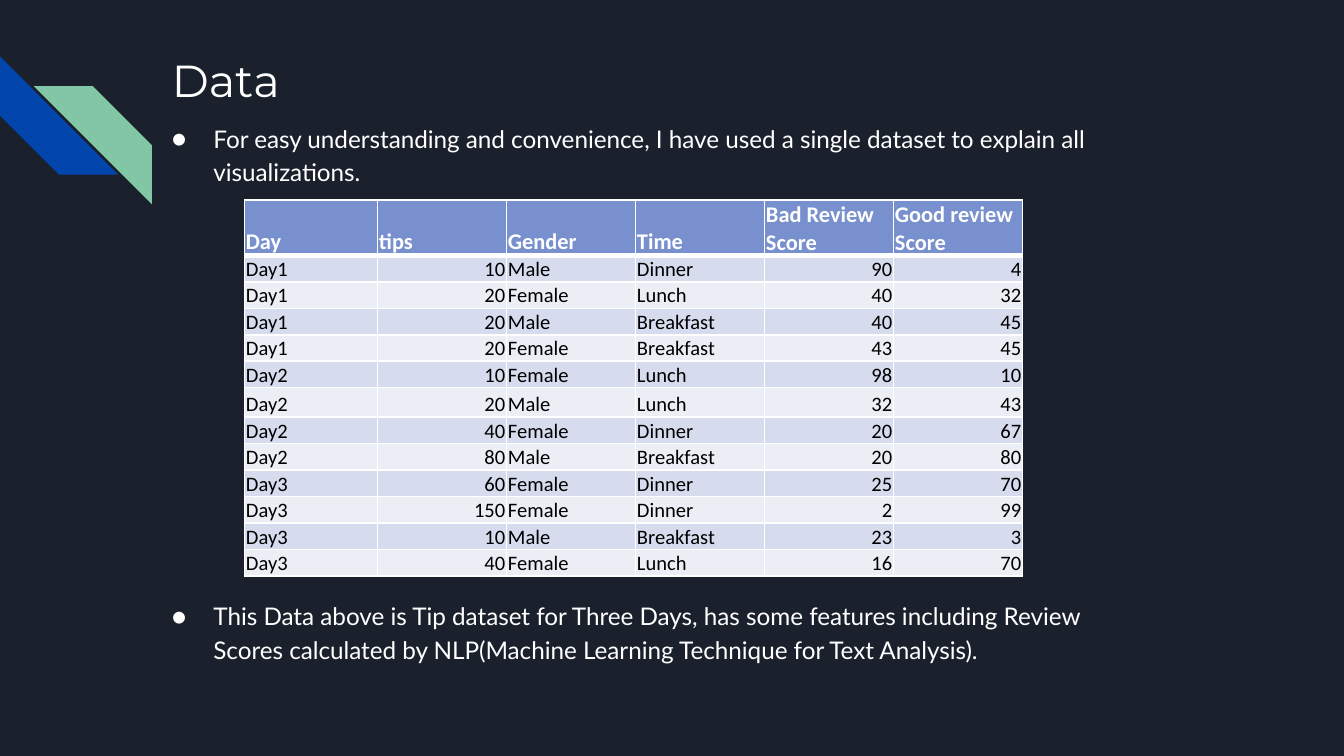
from lxml.etree import SubElement
from pptx import Presentation
from pptx.dml.color import RGBColor
from pptx.enum.shapes import MSO_SHAPE
from pptx.enum.text import MSO_ANCHOR, PP_ALIGN
from pptx.oxml.ns import qn
from pptx.util import Inches, Pt

# Content
TITLE = "Data"
BULLETS = [
    "For easy understanding and convenience, I have used a single dataset to explain all visualizations.",
    "This Data above is Tip dataset for Three Days, has some features including Review Scores "
    "calculated by NLP(Machine Learning Technique for Text Analysis).",
]
HEADERS = ["Day", "tips", "Gender", "Time", "Bad Review Score", "Good review Score"]
RECORDS = [
    ("Day1", 10, "Male", "Dinner", 90, 4),
    ("Day1", 20, "Female", "Lunch", 40, 32),
    ("Day1", 20, "Male", "Breakfast", 40, 45),
    ("Day1", 20, "Female", "Breakfast", 43, 45),
    ("Day2", 10, "Female", "Lunch", 98, 10),
    ("Day2", 20, "Male", "Lunch", 32, 43),
    ("Day2", 40, "Female", "Dinner", 20, 67),
    ("Day2", 80, "Male", "Breakfast", 20, 80),
    ("Day3", 60, "Female", "Dinner", 25, 70),
    ("Day3", 150, "Female", "Dinner", 2, 99),
    ("Day3", 10, "Male", "Breakfast", 23, 3),
    ("Day3", 40, "Female", "Lunch", 16, 70),
]
# Stripes: left, top, fill name, rotation, mirrored
STRIPES = [(0, 0.42, "blue", 270, False), (0.25, 0.64, "green", 0, True)]

THEME = {
    "background": "1B212C", "blue": "0145AC", "green": "82C7A5",
    "light": "FFFFFF", "dark": "000000",
    "header": "7890CD", "bands": ("D6DBED", "ECEEF6"),
    "title_font": ("Montserrat", 24), "body_font": ("Lato", 13),
    "header_font": ("Calibri", 12), "cell_font": ("Calibri", 11),
}
STRIPE_SIZE = 0.88
HEADER_HEIGHT, ROW_HEIGHT, TALL_ROW_HEIGHT = Inches(0.33), Pt(14.2), Inches(0.22)
TALL_ROW = 6
FIRST_COLUMN, OTHER_COLUMN = 0.99, 0.96
BULLET_INDENT = 0.31
TABLE_GAP = 220  # points left between the bullets for the table


def color(value):
    return RGBColor.from_string(value)


def style_runs(paragraph, font, font_color, bold=False):
    for run in paragraph.runs:
        run.font.name, size = font
        run.font.size = Pt(size)
        run.font.color.rgb = color(font_color)
        run.font.bold = bold


def add_text_frame(slide, left, top, width, height):
    box = slide.shapes.add_textbox(Inches(left), Inches(top), Inches(width), Inches(height))
    frame = box.text_frame
    frame.word_wrap = True
    frame.margin_left = frame.margin_right = Inches(0.1)
    frame.margin_top = frame.margin_bottom = Inches(0.1)
    return frame


def add_bullet(paragraph):
    properties = paragraph._p.get_or_add_pPr()
    properties.set("marL", str(Inches(BULLET_INDENT)))
    properties.set("indent", str(-Inches(BULLET_INDENT)))
    bullet_color = SubElement(properties, qn("a:buClr"))
    SubElement(bullet_color, qn("a:srgbClr"), val=THEME["light"])
    SubElement(properties, qn("a:buFont"), typeface=THEME["body_font"][0])
    SubElement(properties, qn("a:buChar"), char="●")


def set_borders(cell, widths):
    properties = cell._tc.get_or_add_tcPr()
    for side, width in zip("LRTB", widths):
        line = SubElement(properties, qn(f"a:ln{side}"), w=str(Pt(width)))
        fill = SubElement(line, qn("a:solidFill"))
        SubElement(fill, qn("a:srgbClr"), val=THEME["light"])


def fill_cell(cell, value, row):
    is_header = row == 0
    set_borders(cell, (1, 1, 3 if row == 1 else 1, 3 if is_header else 1))
    cell.fill.solid()
    cell.fill.fore_color.rgb = color(THEME["header"] if is_header else THEME["bands"][(row - 1) % 2])
    cell.vertical_anchor = MSO_ANCHOR.BOTTOM
    cell.margin_left = cell.margin_right = cell.margin_top = Inches(0.01)
    cell.margin_bottom = 0
    cell.text_frame.text = str(value)
    paragraph = cell.text_frame.paragraphs[0]
    paragraph.alignment = PP_ALIGN.RIGHT if isinstance(value, int) else PP_ALIGN.LEFT
    if is_header:
        style_runs(paragraph, THEME["header_font"], THEME["light"], bold=True)
    else:
        style_runs(paragraph, THEME["cell_font"], THEME["dark"])


def main():
    # Widescreen slide, 16 to 9
    presentation = Presentation()
    presentation.slide_width = Inches(10)
    presentation.slide_height = Inches(10) * 9 // 16
    slide = presentation.slides.add_slide(presentation.slide_layouts[6])
    slide.background.fill.solid()
    slide.background.fill.fore_color.rgb = color(THEME["background"])

    # Corner stripes
    for left, top, fill_name, rotation, mirrored in STRIPES:
        stripe = slide.shapes.add_shape(
            MSO_SHAPE.DIAGONAL_STRIPE, Inches(left), Inches(top),
            Inches(STRIPE_SIZE), Inches(STRIPE_SIZE))
        stripe.shadow.inherit = False
        stripe.fill.solid()
        stripe.fill.fore_color.rgb = color(THEME[fill_name])
        stripe.line.fill.background()
        stripe.rotation = rotation
        if mirrored:
            stripe._element.spPr.find(qn("a:xfrm")).set("flipH", "1")

    # Title
    title = add_text_frame(slide, 1.18, 0.29, 7.7, 0.7)
    title.text = TITLE
    style_runs(title.paragraphs[0], THEME["title_font"], THEME["light"])

    # Bullets above and below the table
    body = add_text_frame(slide, 1.18, 0.79, 7.39, 3.91)
    body.text = "\n".join(BULLETS)
    for paragraph in body.paragraphs:
        paragraph.line_spacing = 1.15
        add_bullet(paragraph)
        style_runs(paragraph, THEME["body_font"], THEME["light"])
    body.paragraphs[0].space_after = Pt(TABLE_GAP)

    # Data table
    rows = [HEADERS, *RECORDS]
    table = slide.shapes.add_table(
        len(rows), len(HEADERS), Inches(1.82), Inches(1.49), Inches(5.79), Inches(2.76)).table
    for index, column in enumerate(table.columns):
        column.width = Inches(OTHER_COLUMN if index else FIRST_COLUMN)
    special_heights = {0: HEADER_HEIGHT, TALL_ROW: TALL_ROW_HEIGHT}
    for row, values in enumerate(rows):
        table.rows[row].height = special_heights.get(row, ROW_HEIGHT)
        for column, value in enumerate(values):
            fill_cell(table.cell(row, column), value, row)

    presentation.save("out.pptx")


if __name__ == "__main__":
    main()
